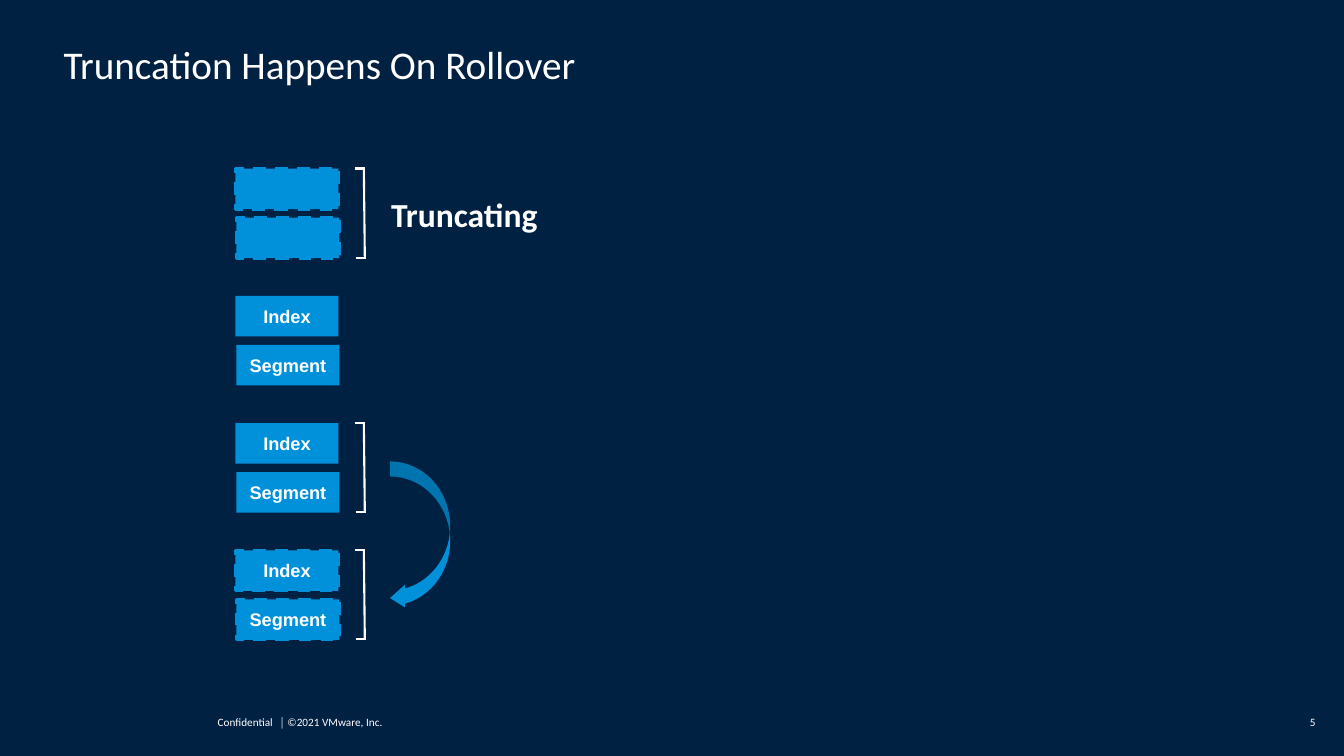
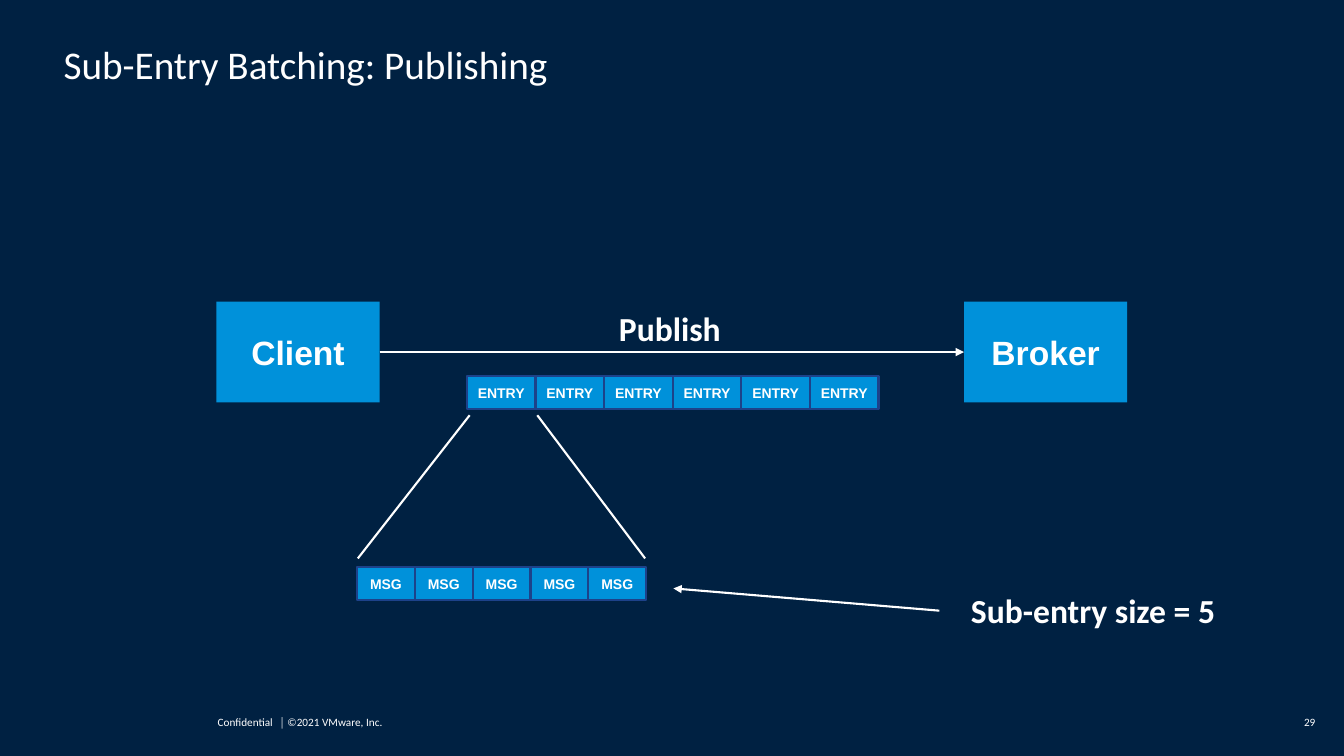
import pptx
import pptx.dml.color
import pptx.enum.dml
import pptx.enum.shapes
import pptx.enum.text
import pptx.oxml.ns
import pptx.util
from lxml import etree

Pt = pptx.util.Pt
RGBColor = pptx.dml.color.RGBColor
SHAPE = pptx.enum.shapes.MSO_SHAPE
ALIGN = pptx.enum.text.PP_ALIGN
ANCHOR = pptx.enum.text.MSO_ANCHOR
qn = pptx.oxml.ns.qn

NAVY = RGBColor(0x00, 0x21, 0x42)
BLUE = RGBColor(0x00, 0x91, 0xDA)
EDGE = RGBColor(0x1D, 0x42, 0x8A)
WHITE = RGBColor(0xFF, 0xFF, 0xFF)
HEADING_FONT, BOX_FONT = "Calibri", "Arial"
INSET = 7.2

FOOTER = "Confidential\t│ ©2021 VMware, Inc."
FOOTER_TAB = 44

ROLLOVER = "Truncation Happens On Rollover"
# (box labels, dashed outline, bracket)
SEGMENT_PAIRS = [
    (("", ""), True, True),
    (("Index", "Segment"), False, False),
    (("Index", "Segment"), False, True),
    (("Index", "Segment"), True, True),
]
PAIR_LEFT, PAIR_TOP, PAIR_PITCH = 168.2, 120.4, 90.9
PAIR_W, PAIR_H, PAIR_STEP = 73.5, 29, 35
BRACKET_LEFT, BRACKET_W, BRACKET_H = 253.4, 7.2, 63.6

BATCHING = "Sub-Entry Batching: Publishing"
ENDPOINTS = [("Client", 154.6), ("Broker", 688.6)]
# (label, count, left, top, box width)
STRIPS = [
    ("ENTRY", 6, 333.5, 268.7, 49),
    ("MSG", 5, 255, 405.2, 41.3),
]
STRIP_H = 23.6
ZOOM_LINES = [((255.6, 398.9), (335.5, 296.6)), ((460.8, 398.9), (383.8, 296.6))]


def set_text(sp, text, size, font, bold=False, align=ALIGN.LEFT,
             anchor=ANCHOR.MIDDLE, inset=INSET, spacing=None, tab=None, wrap=True):
    tf = sp.text_frame
    tf.word_wrap = wrap
    tf.vertical_anchor = anchor
    tf.margin_left = tf.margin_right = tf.margin_top = tf.margin_bottom = Pt(inset)
    p = tf.paragraphs[0]
    p.add_run().text = text
    if tab:
        tabs = etree.SubElement(p._p.get_or_add_pPr(), qn("a:tabLst"))
        etree.SubElement(tabs, qn("a:tab"), pos=str(Pt(tab)), algn="l")
    p.alignment = align
    if spacing:
        p.line_spacing = spacing
    p.font.size, p.font.name, p.font.bold = Pt(size), font, bold
    p.font.color.rgb = WHITE


def add_text(slide, x, y, w, h, text, size, **style):
    sp = slide.shapes.add_textbox(Pt(x), Pt(y), Pt(w), Pt(h))
    set_text(sp, text, size, HEADING_FONT, **style)


def add_box(slide, x, y, w, h, text="", size=13, edge=None, edge_width=1.5,
            dashed=False, kind=SHAPE.RECTANGLE):
    sp = slide.shapes.add_shape(kind, Pt(x), Pt(y), Pt(w), Pt(h))
    sp.shadow.inherit = False
    sp.fill.solid()
    sp.fill.fore_color.rgb = BLUE
    if edge is None:
        sp.line.fill.background()
    else:
        sp.line.color.rgb = edge
        sp.line.width = Pt(edge_width)
    if dashed:
        sp.line.dash_style = pptx.enum.dml.MSO_LINE.DASH
    if text:
        set_text(sp, text, size, BOX_FONT, bold=True, align=ALIGN.CENTER, wrap=False)
    return sp


def add_line(slide, start, end, arrow=False):
    line = slide.shapes.add_connector(
        pptx.enum.shapes.MSO_CONNECTOR.STRAIGHT, *map(Pt, start + end))
    line.line.color.rgb = WHITE
    line.line.width = Pt(1.5)
    if arrow:
        etree.SubElement(line.line._get_or_add_ln(), qn("a:tailEnd"), type="triangle")
    etree.SubElement(line._element.spPr, qn("a:effectLst"))
    return line


def add_bracket(slide, y):
    left, right, bottom = BRACKET_LEFT, BRACKET_LEFT + BRACKET_W, y + BRACKET_H
    add_line(slide, (right - 0.7, y), (right, bottom))
    for tick_y, shift in ((y, 0), (bottom, 0.7)):
        add_line(slide, (left + shift, tick_y), (right + shift, tick_y))


def add_slide(prs, title, number):
    """Add a slide with the shared background, title and footer."""
    slide = prs.slides.add_slide(prs.slide_layouts[6])
    slide.background.fill.solid()
    slide.background.fill.fore_color.rgb = NAVY
    shared = dict(inset=0, spacing=0.9)
    add_text(slide, 155.5, 509, 136, 14.4, FOOTER, 8, tab=FOOTER_TAB, **shared)
    add_text(slide, 905, 509, 34.6, 14.4, str(number), 8, align=ALIGN.RIGHT, **shared)
    add_text(slide, 45.4, 32.4, 866, 30.2, title, 28, anchor=ANCHOR.BOTTOM, **shared)
    return slide


def build_rollover(prs):
    slide = add_slide(prs, ROLLOVER, 5)
    for i, (labels, dashed, bracket) in enumerate(SEGMENT_PAIRS):
        top = PAIR_TOP + i * PAIR_PITCH
        for j, label in enumerate(labels):
            add_box(slide, PAIR_LEFT + j * 0.7, top + j * PAIR_STEP, PAIR_W, PAIR_H,
                    label, edge=BLUE if dashed else None, edge_width=2.25, dashed=dashed)
        if bracket:
            add_bracket(slide, top)
    arrow = add_box(slide, 278.6, 329.6, 43, 105.8, kind=SHAPE.CURVED_LEFT_ARROW)
    for i, value in enumerate((0.25, 0.38, 0.25)):
        arrow.adjustments[i] = value
    add_text(slide, 272.2, 136.8, 195.8, 31.7, "Truncating", 24, bold=True)


def build_batching(prs):
    slide = add_slide(prs, BATCHING, 29)
    client, broker = [add_box(slide, x, 215.5, 116.6, 72, name, 24)
                      for name, x in ENDPOINTS]
    publish = add_line(slide, (271.2, 251.5), (688.6, 251.5), arrow=True)
    publish.begin_connect(client, 3)
    publish.end_connect(broker, 1)
    heading = dict(bold=True, align=ALIGN.CENTER)
    add_text(slide, 380.6, 218.3, 195.8, 31.7, "Publish", 24, **heading)
    for label, count, left, top, width in STRIPS:
        for i in range(count):
            add_box(slide, left + i * width, top, width, STRIP_H, label, 10, edge=EDGE)
    for start, end in ZOOM_LINES:
        add_line(slide, start, end)
    add_text(slide, 671, 420, 219.6, 31.7, "Sub-entry size = 5", 24, **heading)
    add_line(slide, (671, 436.2), (481, 420.3), arrow=True)


def main():
    prs = pptx.Presentation()
    prs.slide_width, prs.slide_height = Pt(960), Pt(540)
    build_rollover(prs)
    build_batching(prs)
    prs.save("out.pptx")


if __name__ == "__main__":
    main()
